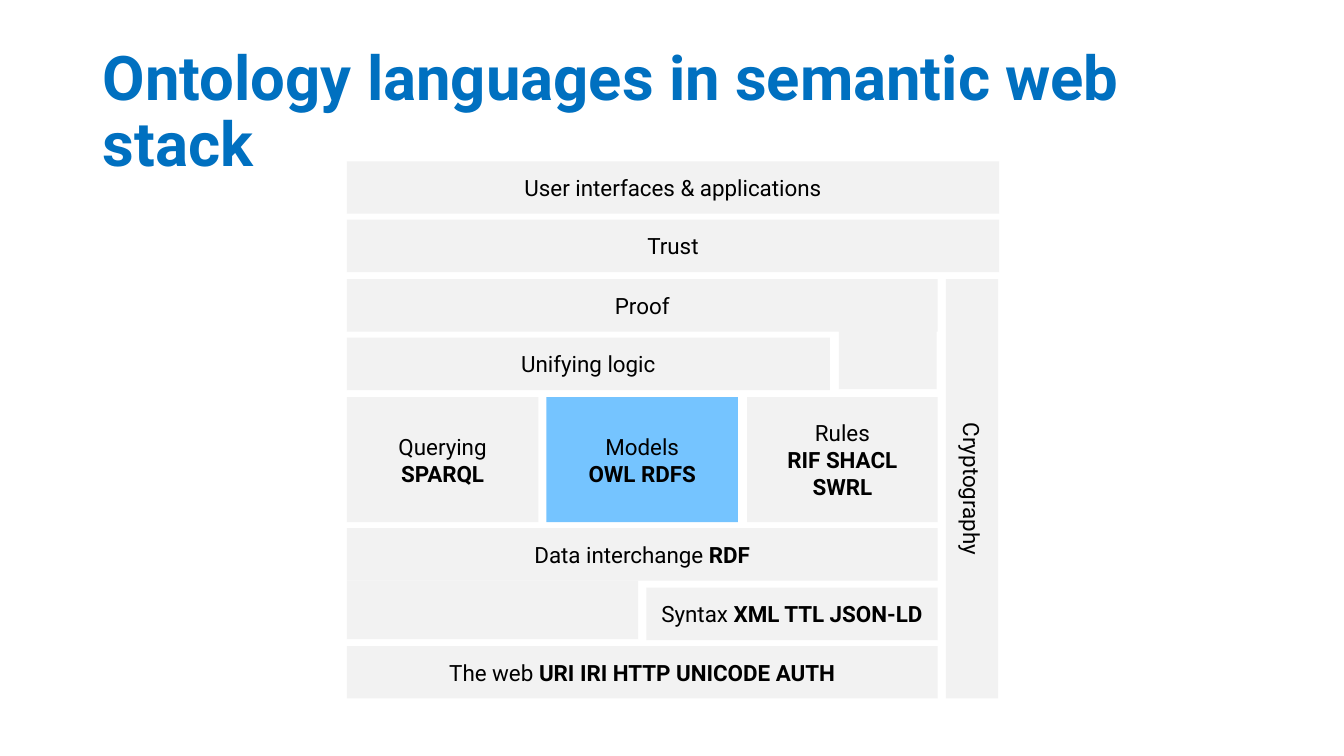
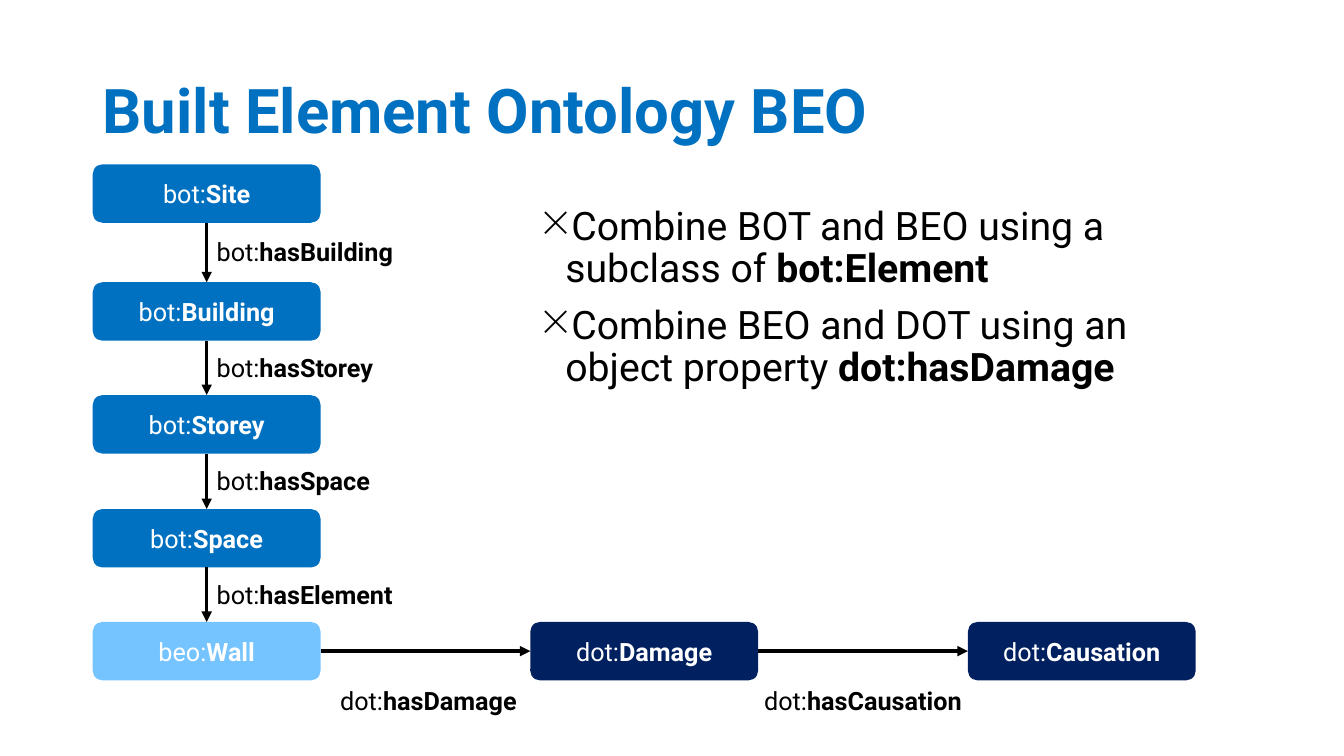
from lxml import etree
from pptx import Presentation
from pptx.dml.color import RGBColor
from pptx.enum.shapes import MSO_CONNECTOR as CONNECTOR, MSO_SHAPE as SHAPE
from pptx.enum.text import MSO_ANCHOR as ANCHOR, PP_ALIGN as ALIGN
from pptx.oxml.ns import qn
from pptx.util import Emu, Pt

PX = 9144  # 100 px to the inch
FONT = "Roboto"
COLORS = {
    "blue": "0070C0",
    "sky": "75C4FF",
    "navy": "002060",
    "gray": "F2F2F2",
    "black": "000000",
    "white": "FFFFFF",
}


def write(shape, lines, size, color, align=ALIGN.LEFT, anchor=ANCHOR.TOP,
          spacing=None, bullet=None):
    """Fill a shape with text; the part of a line after "|" is bold."""
    frame = shape.text_frame
    frame.word_wrap = True
    frame.vertical_anchor = anchor
    for index, line in enumerate(lines):
        paragraph = frame.add_paragraph() if index else frame.paragraphs[0]
        paragraph.alignment = align
        if spacing:
            paragraph.line_spacing = spacing
        if bullet:
            if index:
                paragraph.space_before = Pt(10)
            properties = paragraph._p.get_or_add_pPr()
            properties.set("marL", str(25 * PX))
            properties.set("indent", str(-25 * PX))
            etree.SubElement(properties, qn("a:buChar")).set("char", bullet)
        paragraph.font.name = FONT
        paragraph.font.size = Pt(size)
        paragraph.font.color.rgb = RGBColor.from_string(COLORS[color])
        for part, text in enumerate(line.split("|")):
            if text:
                run = paragraph.add_run()
                run.text = text
                run.font.bold = part == 1


def add_box(slide, kind, bounds, fill, lines, size, color):
    shape = slide.shapes.add_shape(kind, *[Emu(n * PX) for n in bounds])
    shape.shadow.inherit = False
    shape.fill.solid()
    shape.fill.fore_color.rgb = RGBColor.from_string(COLORS[fill])
    shape.line.fill.background()
    write(shape, lines, size, color, ALIGN.CENTER, ANCHOR.MIDDLE)
    return shape


presentation = Presentation()
presentation.slide_width = Emu(1333 * PX)
presentation.slide_height = Emu(750 * PX)

# Slides with their titles
slides = []
for title in ["Ontology languages in semantic web stack",
              "Built Element Ontology BEO"]:
    slide = presentation.slides.add_slide(presentation.slide_layouts[6])
    title_box = slide.shapes.add_textbox(
        *[Emu(n * PX) for n in (92, 40, 1150, 145)])
    write(title_box, ["|" + title], 44, "blue", anchor=ANCHOR.MIDDLE, spacing=0.9)
    slides.append(slide)
stack_slide, ontology_slide = slides

# Semantic web stack, from the bottom up
LEFT, ROW, FULL, INNER = 344, 52, 647, 586
layers = [
    (LEFT, 641, INNER, ROW, "gray", ["The web |URI IRI HTTP UNICODE AUTH"]),
    (641, 583, 289, ROW, "gray", ["Syntax |XML TTL JSON-LD"]),
    (LEFT, 576, 289, 58, "gray", []),
    (LEFT, 524, INNER, ROW, "gray", ["Data interchange |RDF"]),
    (LEFT, 394, 190, 124, "gray", ["Querying", "|SPARQL"]),
    (542, 394, 190, 124, "sky", ["Models", "|OWL RDFS"]),
    (741, 394, 189, 124, "gray", ["Rules", "|RIF SHACL SWRL"]),
    (LEFT, 335, 479, ROW, "gray", ["Unifying logic"]),
    (832, 328, 97, 58, "gray", []),
    (LEFT, 277, INNER, ROW, "gray", ["Proof"]),
    (LEFT, 218, FULL, ROW, "gray", ["Trust"]),
    (LEFT, 160, FULL, ROW, "gray", ["User interfaces & applications"]),
]
for *bounds, fill, lines in layers:
    add_box(stack_slide, SHAPE.RECTANGLE, bounds, fill, lines, 16, "black")
cryptography = add_box(stack_slide, SHAPE.RECTANGLE, (756, 459, 416, ROW),
                       "gray", ["Cryptography"], 16, "black")
cryptography.rotation = 90

# Bullet list
bullet_box = ontology_slide.shapes.add_textbox(
    *[Emu(n * PX) for n in (526, 200, 716, 476)])
write(bullet_box, ["Combine BOT and BEO using a subclass of |bot:Element",
                   "Combine BEO and DOT using an object property |dot:hasDamage"],
      28, "black", spacing=0.9, bullet="×")

# Class boxes: a column of building parts, then a row of damage classes
WIDTH, HEIGHT = 226, 58
classes = [
    ("bot:|Site", 92, 163, "blue"),
    ("bot:|Building", 92, 280, "blue"),
    ("bot:|Storey", 92, 392, "blue"),
    ("bot:|Space", 92, 505, "blue"),
    ("beo:|Wall", 92, 617, "sky"),
    ("dot:|Damage", 526, 617, "navy"),
    ("dot:|Causation", 960, 617, "navy"),
]
boxes = [add_box(ontology_slide, SHAPE.ROUNDED_RECTANGLE, (x, y, WIDTH, HEIGHT),
                 fill, [name], 18, "white")
         for name, x, y, fill in classes]

# Properties: an arrow and a label between each pair of neighbours
properties = [
    ("bot:|hasBuilding", 205, 230),
    ("bot:|hasStorey", 205, 345),
    ("bot:|hasSpace", 205, 457),
    ("bot:|hasElement", 205, 570),
    ("dot:|hasDamage", 302, 675),
    ("dot:|hasCausation", 733, 675),
]
for (name, x, y), start, end in zip(properties, boxes, boxes[1:]):
    downward = start.left == end.left
    arrow = ontology_slide.shapes.add_connector(CONNECTOR.STRAIGHT, 0, 0, 0, 0)
    arrow.begin_connect(start, 2 if downward else 3)
    arrow.end_connect(end, 0 if downward else 1)
    arrow.line.width = Pt(2.5)
    arrow.line.color.rgb = RGBColor.from_string(COLORS["black"])
    etree.SubElement(arrow.line._get_or_add_ln(), qn("a:tailEnd")).set("type", "triangle")
    etree.SubElement(arrow._element.spPr, qn("a:effectLst"))

    label = ontology_slide.shapes.add_textbox(
        *[Emu(n * PX) for n in (x, y, 202 if downward else 246, 40)])
    write(label, [name], 18, "black", ALIGN.LEFT if downward else ALIGN.CENTER)

presentation.save("out.pptx")
